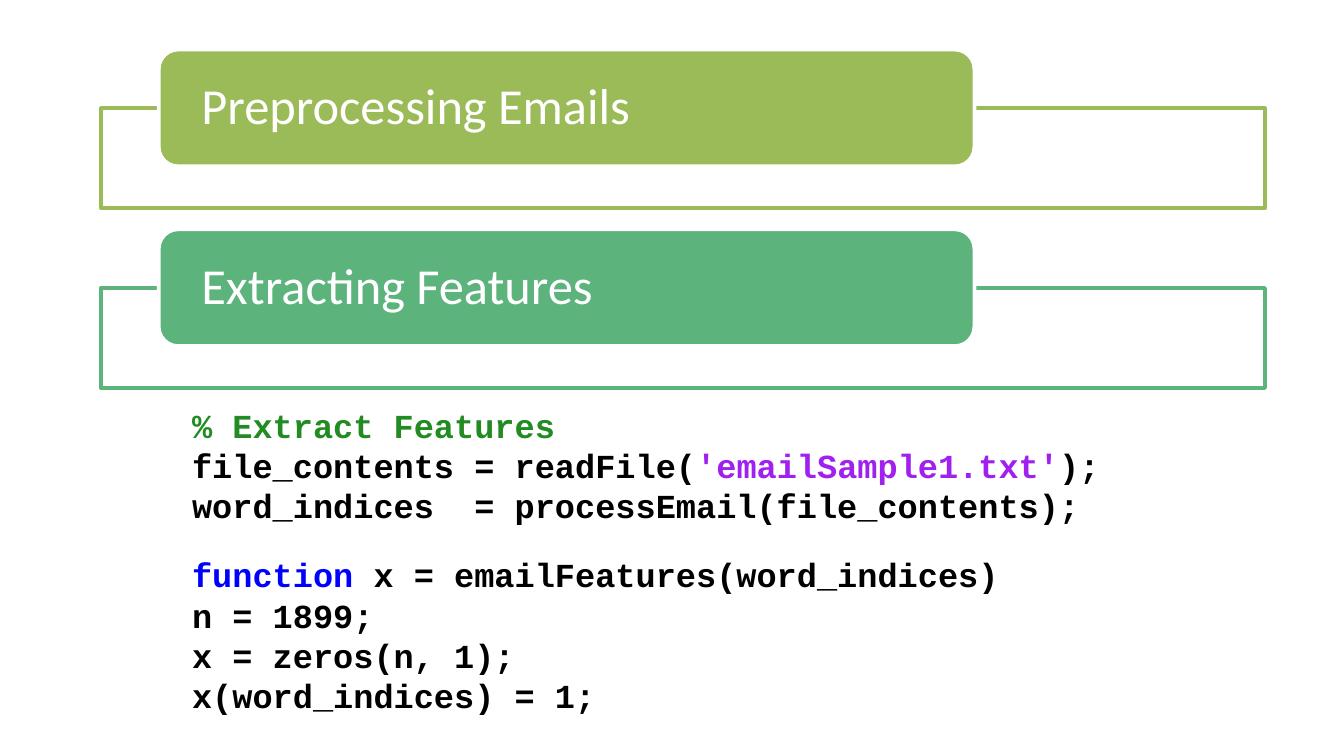
import pptx
import pptx.util
import pptx.dml.color
import pptx.enum.shapes
import pptx.enum.text

PX = 5715  # EMU per px, 160 px to the inch

WHITE = pptx.dml.color.RGBColor(0xFF, 0xFF, 0xFF)
BLACK = pptx.dml.color.RGBColor(0x00, 0x00, 0x00)
OLIVE = pptx.dml.color.RGBColor(0x9B, 0xBB, 0x59)
GREEN = pptx.dml.color.RGBColor(0x5C, 0xB3, 0x7C)
COMMENT = pptx.dml.color.RGBColor(0x22, 0x8B, 0x22)
STRING = pptx.dml.color.RGBColor(0xA0, 0x20, 0xF0)
KEYWORD = pptx.dml.color.RGBColor(0x00, 0x00, 0xFF)

SHAPES = pptx.enum.shapes.MSO_SHAPE


def add_box(slide, kind, left, top, width, height, fill, line):
    shape = slide.shapes.add_shape(kind, left * PX, top * PX, width * PX, height * PX)
    shape.shadow.inherit = False
    shape.fill.solid()
    shape.fill.fore_color.rgb = fill
    shape.line.color.rgb = line
    shape.line.width = pptx.util.Pt(2)
    return shape


def add_run(paragraph, text, font_name, size, color, bold=False):
    run = paragraph.add_run()
    run.text = text
    run.font.name = font_name
    run.font.size = pptx.util.Pt(size)
    run.font.bold = bold
    run.font.color.rgb = color


presentation = pptx.Presentation()
presentation.slide_width = 1600 * PX
presentation.slide_height = 900 * PX
slide = presentation.slides.add_slide(presentation.slide_layouts[6])

# Section headings: a frame with a rounded label over its top edge
sections = [("Preprocessing Emails", OLIVE), ("Extracting Features", GREEN)]
for index, (heading, color) in enumerate(sections):
    top = 59 + 214 * index
    add_box(slide, SHAPES.RECTANGLE, 120, top + 70, 1386, 119, WHITE, color)
    label = add_box(slide, SHAPES.ROUNDED_RECTANGLE, 189, top, 971, 139, color, WHITE)
    text_frame = label.text_frame
    text_frame.word_wrap = True
    text_frame.vertical_anchor = pptx.enum.text.MSO_ANCHOR.MIDDLE
    text_frame.margin_left = text_frame.margin_right = 44 * PX
    text_frame.margin_top = text_frame.margin_bottom = 0
    paragraph = text_frame.paragraphs[0]
    paragraph.alignment = pptx.enum.text.PP_ALIGN.LEFT
    paragraph.line_spacing = 0.9
    add_run(paragraph, heading, "Calibri", 27, WHITE)

# Code listings: position, size and lines of coloured pieces
listings = [
    (474, 1200, 162, [
        [("% Extract Features", COMMENT)],
        [("file_contents = readFile(", BLACK), ("'emailSample1.txt'", STRING), (");", BLACK)],
        [("word_indices  = processEmail(file_contents);", BLACK)],
    ]),
    (652, 1213, 210, [
        [("function", KEYWORD), (" x = emailFeatures(word_indices)", BLACK)],
        [("n = 1899;", BLACK)],
        [("x = zeros(n, 1);", BLACK)],
        [("x(word_indices) = 1;", BLACK)],
    ]),
]
for top, width, height, lines in listings:
    text_box = slide.shapes.add_textbox(213 * PX, top * PX, width * PX, height * PX)
    text_frame = text_box.text_frame
    text_frame.word_wrap = True
    for number, pieces in enumerate(lines):
        paragraph = text_frame.add_paragraph() if number else text_frame.paragraphs[0]
        for text, color in pieces:
            add_run(paragraph, text, "Courier New", 18, color, bold=True)

presentation.save("out.pptx")
